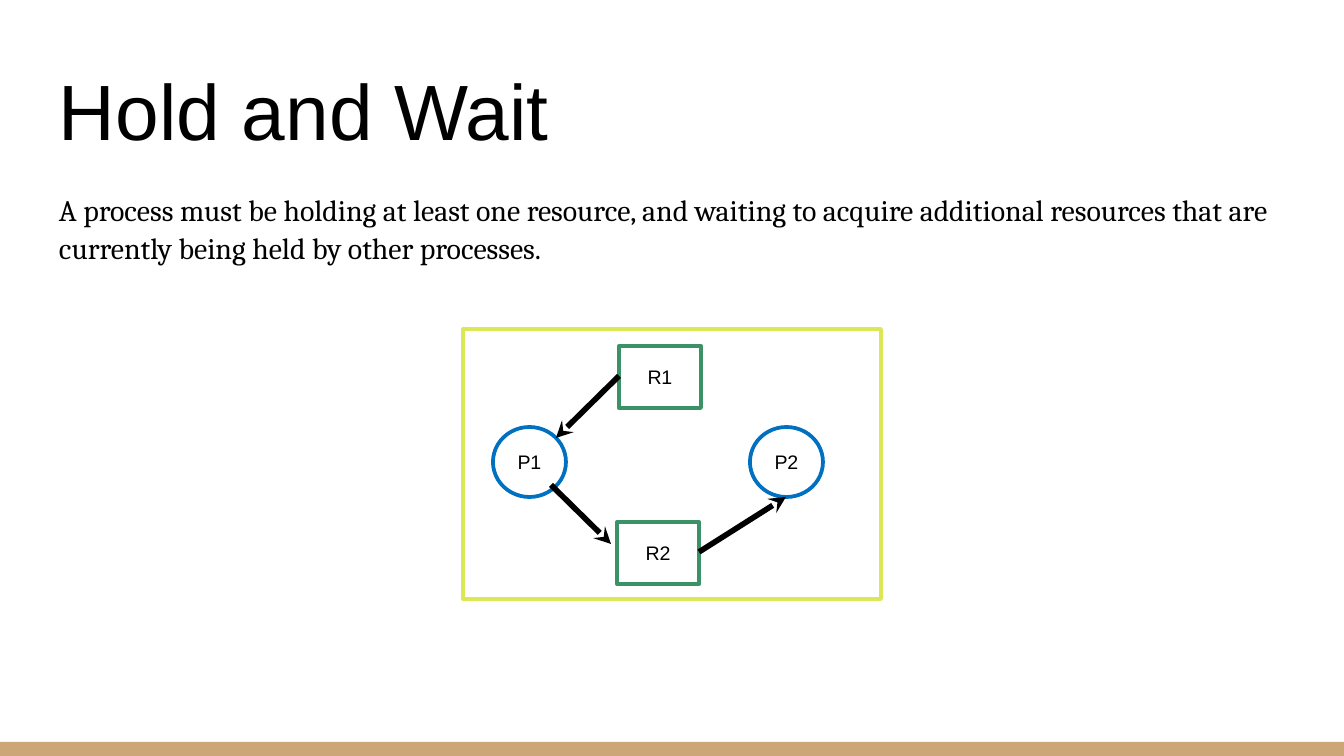
import pptx
import pptx.util
import pptx.dml.color
import pptx.enum.shapes
import pptx.enum.text
import pptx.oxml.ns
from lxml import etree

PX = 914400 / 134.4  # EMU per px
SHAPE = pptx.enum.shapes.MSO_SHAPE
ANCHOR = pptx.enum.text.MSO_ANCHOR
ALIGN = pptx.enum.text.PP_ALIGN


def paint(color_format, hex_color):
    color_format.rgb = pptx.dml.color.RGBColor.from_string(hex_color)


def write(frame, text, font, size, anchor, margins):
    frame.word_wrap = True
    frame.vertical_anchor = anchor
    frame.margin_left = frame.margin_right = round(margins[0] * PX)
    frame.margin_top = frame.margin_bottom = round(margins[1] * PX)
    run = frame.paragraphs[0].add_run()
    run.text = text
    run.font.name = font
    run.font.size = pptx.util.Pt(size)
    paint(run.font.color, "000000")


deck = pptx.Presentation()
deck.slide_width, deck.slide_height = round(1344 * PX), round(756 * PX)
slide = deck.slides.add_slide(deck.slide_layouts[6])

# Title and definition
for text, font, size, anchor, spacing, box in [
    ("Hold and Wait", "Arial", 42, ANCHOR.BOTTOM, 1.0, (46, 47, 1252, 122)),
    ("A process must be holding at least one resource, and waiting to acquire "
     "additional resources that are currently being held by other processes.",
     "Cambria", 16, ANCHOR.TOP, 1.05, (46, 177, 1238, 105)),
]:
    passage = slide.shapes.add_textbox(*[round(v * PX) for v in box])
    write(passage.text_frame, text, font, size, anchor, (13, 13))
    passage.text_frame.paragraphs[0].line_spacing = spacing

# Footer bar, diagram frame, resources (squares) and processes (circles)
for kind, box, fill, outline, label in [
    (SHAPE.RECTANGLE, (0, 742, 1344, 14), "CCA677", None, None),
    (SHAPE.RECTANGLE, (463, 329, 418, 270), "FFFFFF", "DCE755", None),
    (SHAPE.RECTANGLE, (619, 346, 82, 62), None, "3B9267", "R1"),
    (SHAPE.RECTANGLE, (617, 522, 82, 62), None, "3B9267", "R2"),
    (SHAPE.OVAL, (493, 427, 73, 70), None, "0070C0", "P1"),
    (SHAPE.OVAL, (750, 427, 73, 70), None, "0070C0", "P2"),
]:
    node = slide.shapes.add_shape(kind, *[round(v * PX) for v in box])
    node.shadow.inherit = False
    if fill:
        node.fill.solid()
        paint(node.fill.fore_color, fill)
    else:
        node.fill.background()
    if outline:
        paint(node.line.color, outline)
        node.line.width = pptx.util.Pt(2)
    else:
        node.line.fill.background()
    if label:
        write(node.text_frame, label, "Arial", 10.5, ANCHOR.MIDDLE, (13, 7))
        node.text_frame.paragraphs[0].alignment = ALIGN.CENTER

# Arrows: R1 to P1, P1 to R2, R2 to P2
for ends in [(619, 376, 556, 438), (551, 485, 611, 544), (699, 552, 786, 497)]:
    arrow = slide.shapes.add_connector(
        pptx.enum.shapes.MSO_CONNECTOR.STRAIGHT, *[round(v * PX) for v in ends])
    paint(arrow.line.color, "000000")
    arrow.line.width = pptx.util.Pt(3)
    properties = arrow._element.spPr
    etree.SubElement(properties.find(pptx.oxml.ns.qn("a:ln")),
                     pptx.oxml.ns.qn("a:tailEnd"), type="stealth")
    etree.SubElement(properties, pptx.oxml.ns.qn("a:effectLst"))

deck.save("out.pptx")
